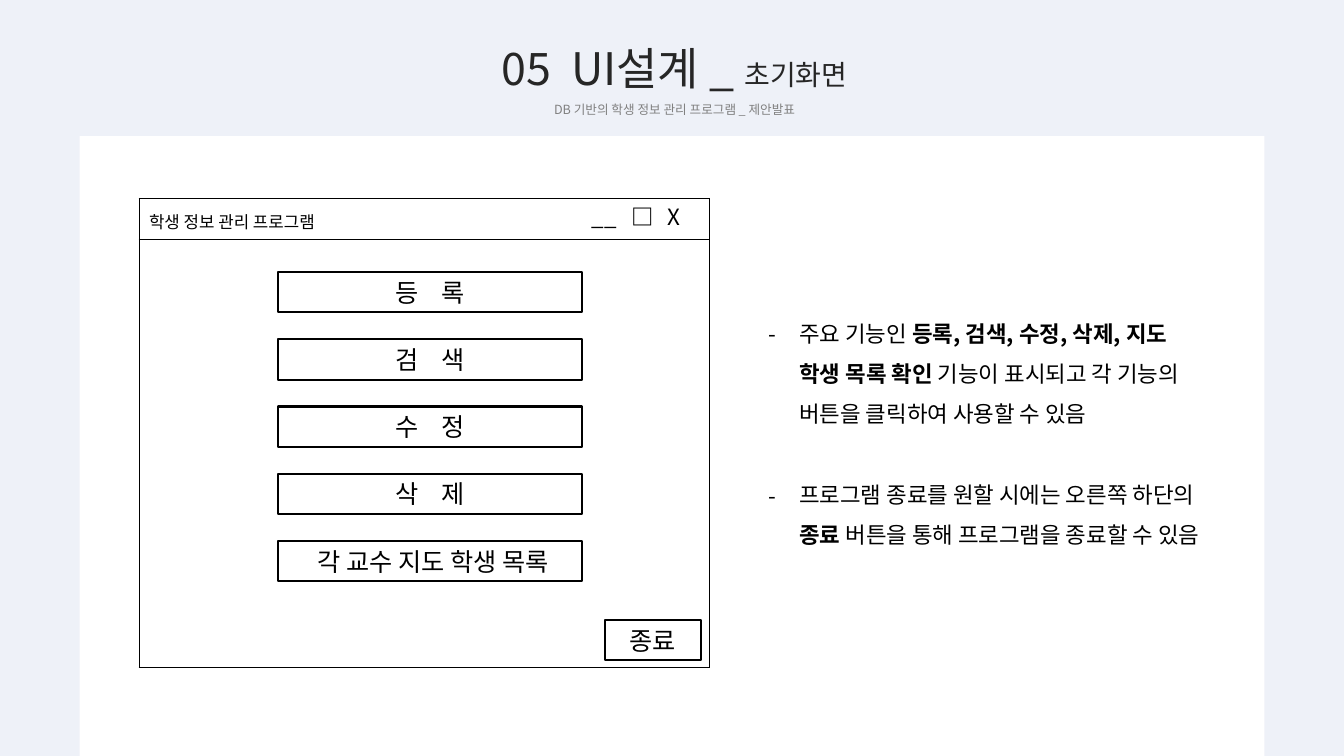
from lxml import etree
from pptx import Presentation
from pptx import util as u
from pptx.dml.color import RGBColor
from pptx.enum import shapes, text
from pptx.oxml import ns

FONT = "Noto Sans CJK KR"
BACKDROP = RGBColor(0xEE, 0xF1, 0xF8)
WHITE = RGBColor(0xFF, 0xFF, 0xFF)
BLACK = RGBColor(0x00, 0x00, 0x00)
DARK = RGBColor(0x26, 0x26, 0x26)
GRAY = RGBColor(0x80, 0x80, 0x80)


def add_spans(para, spans, size, color=BLACK):
    for words, formats in spans:
        span = para.add_run()
        span.text = words
        settings = {"name": FONT, "size": u.Pt(size), "bold": False, **formats}
        spacing = settings.pop("spacing", None)
        for name, value in settings.items():
            setattr(span.font, name, value)
        span.font.color.rgb = color
        props = span._r.get_or_add_rPr()
        etree.SubElement(props, ns.qn("a:ea"), typeface=FONT)
        if spacing:
            props.set("spc", str(spacing * 100))


def add_rectangle(left, top, width, height):
    box = page.shapes.add_shape(
        shapes.MSO_SHAPE.RECTANGLE,
        u.Inches(left), u.Inches(top), u.Inches(width), u.Inches(height))
    box.shadow.inherit = False
    box.fill.solid()
    box.fill.fore_color.rgb = WHITE
    box.line.fill.background()
    return box


deck = Presentation()
deck.slide_width, deck.slide_height = u.Inches(13.33), u.Inches(7.5)
page = deck.slides.add_slide(deck.slide_layouts[5])
page.background.fill.solid()
page.background.fill.fore_color.rgb = BACKDROP

title = page.shapes.title
title.left, title.top = u.Inches(3.7), u.Inches(0.09)
title.width, title.height = u.Inches(5.98), u.Inches(1.11)
frame = title.text_frame
frame.auto_size = text.MSO_AUTO_SIZE.NONE
frame.vertical_anchor = text.MSO_ANCHOR.TOP
heading, subtitle = frame.paragraphs[0], frame.add_paragraph()
for para in (heading, subtitle):
    para.alignment = text.PP_ALIGN.CENTER
    para.line_spacing = 1.5
add_spans(heading, [("05", {}), (" ", {"spacing": 7}), ("UI설계 _ ", {}),
                    ("초기화면", {"size": u.Pt(20)})], 32, DARK)
add_spans(subtitle, [("DB 기반의 학생 정보 관리 프로그램 _ 제안발표", {})], 9, GRAY)

add_rectangle(0.79, 1.35, 11.75, 6.15)

window = page.shapes.add_table(
    2, 1, u.Inches(1.38), u.Inches(1.97), u.Inches(5.66), u.Inches(4.65)).table
window.first_row = window.horz_banding = False
for row, height in zip(window.rows, (0.4, 4.25)):
    row.height = u.Inches(height)
    cell = row.cells[0]
    props = cell._tc.get_or_add_tcPr()
    for side in ("lnL", "lnR", "lnT", "lnB"):
        border = etree.SubElement(props, ns.qn(f"a:{side}"), w=str(u.Pt(1)))
        fill = etree.SubElement(border, ns.qn("a:solidFill"))
        etree.SubElement(fill, ns.qn("a:srgbClr"), val=str(BLACK))
    cell.fill.background()

captions = [
    ("학생 정보 관리 프로그램", 1.38, 2.05, 2.42, 12, False),
    ("__", 5.77, 1.97, 0.45, 16, False),
    ("□", 6.17, 1.97, 0.4, 16, True),
    ("X", 6.52, 1.97, 0.4, 16, False),
]
for words, left, top, width, size, bold in captions:
    box = page.shapes.add_textbox(
        u.Inches(left), u.Inches(top), u.Inches(width), u.Inches(0.37))
    add_spans(box.text_frame.paragraphs[0], [(words, {"bold": bold})], size)

labels = ["등 록", "검 색", "수 정", "삭 제"]
buttons = [[(label[0], {}), (" ", {"spacing": 12}), (label[2], {})] for label in labels]
buttons.append([(" 각 교수 지도 학생 목록", {})])
placed = [(spans, 2.76, 2.7 + index * 2 / 3, 3.01) for index, spans in enumerate(buttons)]
placed.append(([("종료", {})], 6, 6.15, 0.95))
for spans, left, top, width in placed:
    button = add_rectangle(left, top, width, 0.4)
    button.line.color.rgb = BLACK
    button.line.width = u.Pt(1.5)
    para = button.text_frame.paragraphs[0]
    para.alignment = text.PP_ALIGN.CENTER
    add_spans(para, spans, 18)

notes = [
    [("주요 기능인 ", {}),
     ("등록, 검색, 수정, 삭제, 지도 학생 목록 확인 ", {"bold": True}),
     ("기능이 표시되고 각 기능의 버튼을 클릭하여 사용할 수 있음", {})],
    [("프로그램 종료를 원할 시에는 오른쪽 하단의 ", {}),
     ("종료", {"bold": True}),
     (" 버튼을 통해 프로그램을 종료할 수 있음", {})],
]
box = page.shapes.add_textbox(
    u.Inches(7.52), u.Inches(2.99), u.Inches(4.57), u.Inches(2.88))
frame = box.text_frame
frame.word_wrap = True
for index, spans in enumerate(notes):
    para = frame.add_paragraph() if index else frame.paragraphs[0]
    props = para._p.get_or_add_pPr()
    props.set("marL", str(u.Inches(0.31)))
    props.set("indent", str(u.Inches(-0.31)))
    etree.SubElement(props, ns.qn("a:buFont"), typeface=FONT)
    etree.SubElement(props, ns.qn("a:buChar"), char="-")
    para.line_spacing = 1.5
    para.space_before = u.Pt(29 * index)
    add_spans(para, spans, 16)

deck.save("out.pptx")
